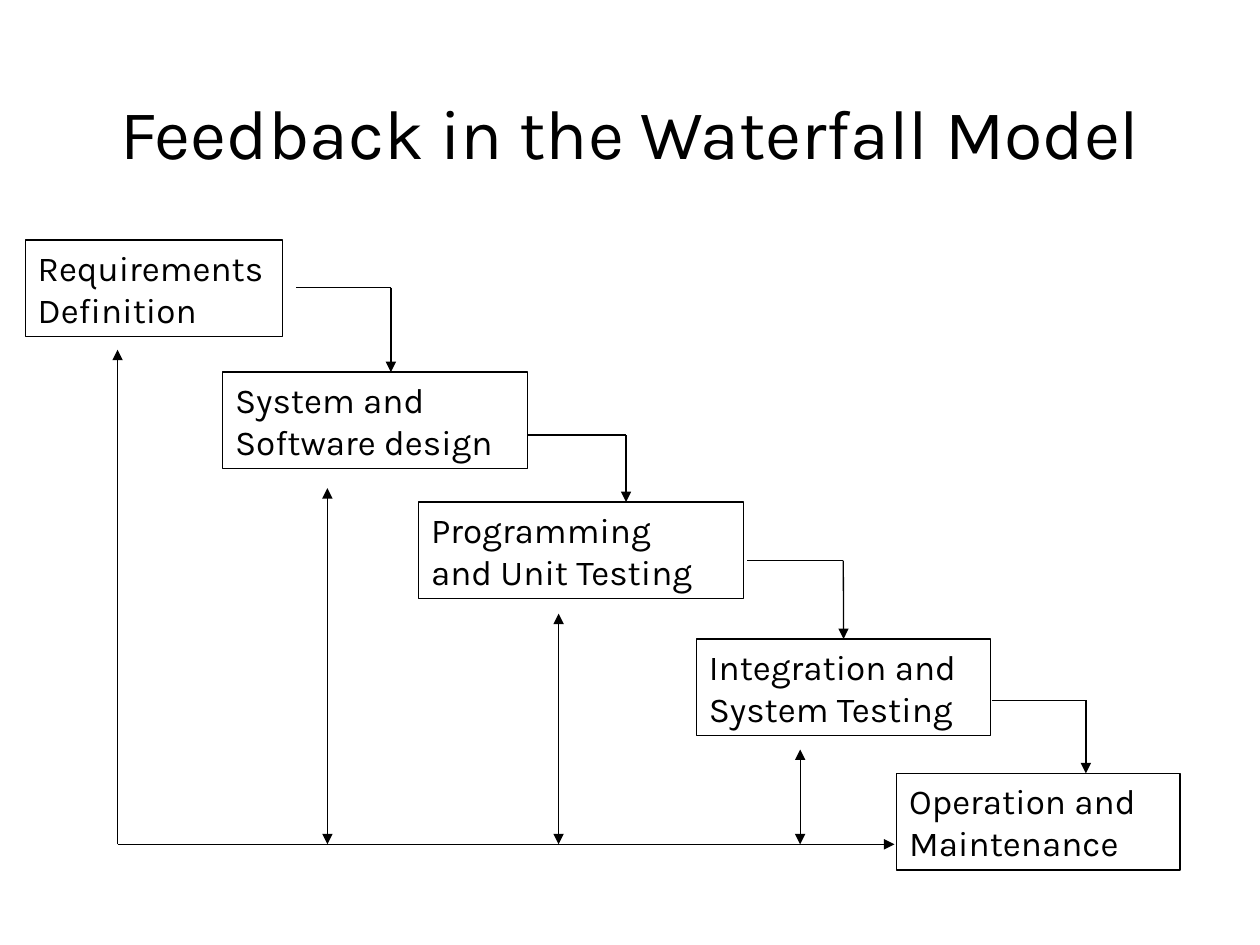
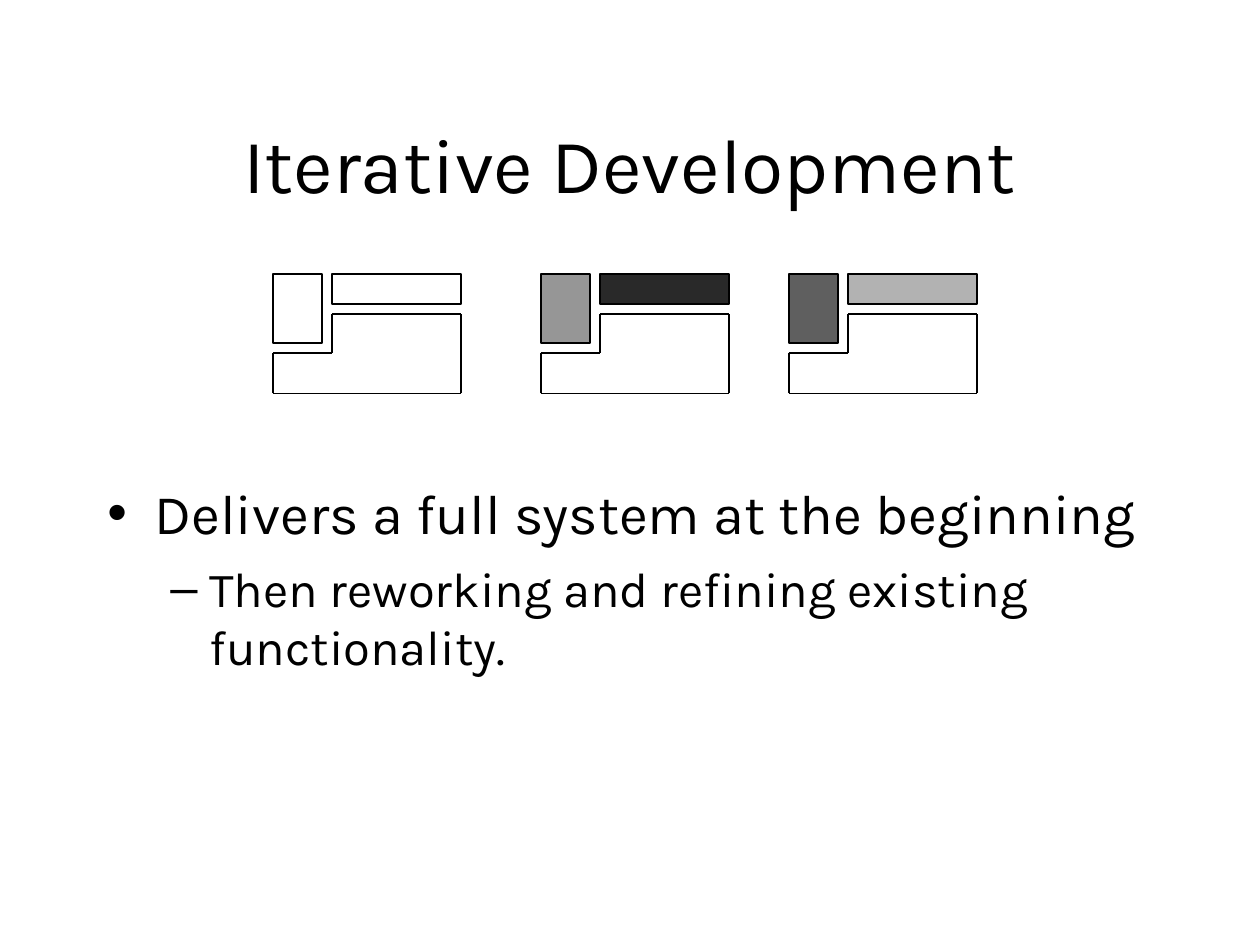
from dataclasses import dataclass
from itertools import pairwise

from lxml.etree import SubElement
from pptx import Presentation
from pptx.dml.color import RGBColor
from pptx.enum.shapes import MSO_CONNECTOR, MSO_SHAPE
from pptx.enum.text import MSO_ANCHOR, MSO_AUTO_SIZE, PP_ALIGN
from pptx.oxml.ns import qn
from pptx.util import Cm, Pt


@dataclass(frozen=True)
class Theme:
    font: str = "Karla"
    ink: str = "000000"
    mid_gray: str = "969696"
    near_black: str = "292929"
    dark_gray: str = "5F5F5F"
    light_gray: str = "B2B2B2"
    long_title_size: int = 40
    title_size: int = 44
    stage_size: int = 20
    bullet_size: int = 32
    dash_size: int = 28
    flow_line: float = 0.75
    tile_line: float = 1


@dataclass(frozen=True)
class Box:
    left: float
    top: float
    width: float
    height: float

    def lengths(self):
        return [Cm(value) for value in (self.left, self.top, self.width, self.height)]


@dataclass(frozen=True)
class Stage:
    lines: tuple
    left: float
    top: float
    width: float


@dataclass(frozen=True)
class Links:
    step_gap: float
    step_drop: float
    step_run: float
    feedback_left: float
    feedback_gap: float


THEME = Theme()
STAGE_HEIGHT = 1.95
BUS_TOP = 12.18
BUS_END = 17.52
STAGES = [
    Stage(("Requirements", "Definition"), 0, 0, 5.18),
    Stage(("System and", "Software design"), 3.98, 2.66, 6.14),
    Stage(("Programming", "and Unit Testing"), 7.93, 5.28, 6.55),
    Stage(("Integration and", "System Testing"), 13.53, 8.04, 5.93),
    Stage(("Operation and", "Maintenance"), 17.57, 10.75, 5.71),
]
LINKS = [
    Links(0.28, 0.96, 1.91, 1.86, 0.26),
    Links(0, 1.27, 1.99, 2.11, 0.39),
    Links(0.07, 1.18, 1.94, 2.82, 0.3),
    Links(0.02, 1.24, 1.9, 2.09, 0.28),
]
VERSIONS = [
    (0, None, None),
    (5.4, THEME.mid_gray, THEME.near_black),
    (10.4, THEME.dark_gray, THEME.light_gray),
]
POINTS = [
    ("Delivers a full system at the beginning", 0, THEME.bullet_size, "•", 0.95, -0.95, 0),
    ("Then reworking and refining existing functionality.", 1, THEME.dash_size, "–", 2.06, -0.79, 7),
]


def set_attributes(target, values):
    for name, value in values.items():
        setattr(target, name, value)


def style_font(font, size):
    set_attributes(font, {"name": THEME.font, "size": Pt(size), "bold": False})
    font.color.rgb = RGBColor.from_string(THEME.ink)


def style_line(line, width):
    line.width = Pt(width)
    line.color.rgb = RGBColor.from_string(THEME.ink)


def place(shape, box):
    set_attributes(shape, dict(zip(("left", "top", "width", "height"), box.lengths())))


def add_rectangle(slide, box, line_width, fill=None):
    rectangle = slide.shapes.add_shape(MSO_SHAPE.RECTANGLE, *box.lengths())
    rectangle.shadow.inherit = False
    style_line(rectangle.line, line_width)
    if fill:
        rectangle.fill.solid()
        rectangle.fill.fore_color.rgb = RGBColor.from_string(fill)
    else:
        rectangle.fill.background()
    return rectangle


def add_line(slide, region, start, end, width, arrows=()):
    ends = [Cm(value) for x, y in (start, end) for value in (region.left + x, region.top + y)]
    connector = slide.shapes.add_connector(MSO_CONNECTOR.STRAIGHT, *ends)
    style_line(connector.line, width)
    properties = connector.element.spPr
    outline = properties.find(qn("a:ln"))
    for arrow in arrows:
        SubElement(outline, qn(f"a:{arrow}"), type="triangle")
    SubElement(properties, qn("a:effectLst"))
    return connector


def fill_title(slide, text, box, size):
    title = slide.shapes.title
    place(title, box)
    frame = title.text_frame
    set_attributes(frame, {"text": text, "vertical_anchor": MSO_ANCHOR.MIDDLE,
                           "auto_size": MSO_AUTO_SIZE.NONE})
    paragraph = frame.paragraphs[0]
    paragraph.alignment = PP_ALIGN.CENTER
    style_font(paragraph.font, size)


def add_stage(slide, region, stage):
    box = Box(region.left + stage.left, region.top + stage.top, stage.width, STAGE_HEIGHT)
    rectangle = add_rectangle(slide, box, THEME.flow_line)
    frame = rectangle.text_frame
    set_attributes(frame, {"text": "\n".join(stage.lines), "word_wrap": True,
                           "vertical_anchor": MSO_ANCHOR.TOP})
    for paragraph in frame.paragraphs:
        paragraph.alignment = PP_ALIGN.LEFT
        style_font(paragraph.font, THEME.stage_size)
    return rectangle


def add_waterfall(slide, region):
    rectangles = [add_stage(slide, region, stage) for stage in STAGES]
    width = THEME.flow_line
    for index, ((stage, following), links) in enumerate(zip(pairwise(STAGES), LINKS)):
        start_x = stage.left + stage.width + links.step_gap
        start_y = stage.top + links.step_drop
        corner = (start_x + links.step_run, start_y)
        add_line(slide, region, (start_x, start_y), corner, width)
        arrow = add_line(slide, region, corner, (corner[0], following.top), width, ["tailEnd"])
        if abs(corner[0] - following.left - following.width / 2) < 0.05:
            arrow.end_connect(rectangles[index + 1], 0)

        feedback_x = stage.left + links.feedback_left
        feedback_top = stage.top + STAGE_HEIGHT + links.feedback_gap
        arrows = ["headEnd", "tailEnd"] if index else ["tailEnd"]
        add_line(slide, region, (feedback_x, BUS_TOP), (feedback_x, feedback_top), width, arrows)
    bus_start = (LINKS[0].feedback_left, BUS_TOP)
    add_line(slide, region, bus_start, (BUS_END, BUS_TOP), width, ["tailEnd"])


def add_version(slide, box, column_fill, bar_fill):
    column_width, column_height, bar_height, gap = 1, 1.38, 0.6, 0.2
    inner = column_width + gap
    column = Box(box.left, box.top, column_width, column_height)
    bar = Box(box.left + inner, box.top, box.width - inner, bar_height)
    add_rectangle(slide, column, THEME.tile_line, column_fill)
    add_rectangle(slide, bar, THEME.tile_line, bar_fill)
    upper, lower = bar_height + gap, column_height + gap
    corners = [(inner, upper), (box.width, upper), (box.width, box.height),
               (0, box.height), (0, lower), (inner, lower)]
    for start, end in pairwise(corners + corners[:1]):
        add_line(slide, box, start, end, THEME.tile_line)


def add_versions(slide, region):
    for offset, column_fill, bar_fill in VERSIONS:
        box = Box(region.left + offset, region.top, 3.8, region.height)
        add_version(slide, box, column_fill, bar_fill)


def fill_points(slide, box):
    body = slide.placeholders[1]
    place(body, box)
    frame = body.text_frame
    set_attributes(frame, {"text": "\n".join(point[0] for point in POINTS),
                           "auto_size": MSO_AUTO_SIZE.NONE})
    for paragraph, point in zip(frame.paragraphs, POINTS):
        _, level, size, bullet, margin, indent, space = point
        set_attributes(paragraph, {"level": level, "space_before": Pt(space)})
        properties = paragraph._p.get_or_add_pPr()
        properties.set("marL", str(Cm(margin)))
        properties.set("indent", str(Cm(indent)))
        SubElement(properties, qn("a:buChar"), char=bullet)
        style_font(paragraph.font, size)


def build_feedback_slide(presentation):
    slide = presentation.slides.add_slide(presentation.slide_layouts[5])
    title_box = Box(1.9, 1.06, 21.6, 3.18)
    fill_title(slide, "Feedback in the Waterfall Model", title_box, THEME.long_title_size)
    add_waterfall(slide, Box(0.51, 4.84, 23.28, 12.7))


def build_iterative_slide(presentation):
    slide = presentation.slides.add_slide(presentation.slide_layouts[1])
    title_box = Box(1.9, 1.69, 21.6, 3.18)
    fill_title(slide, "Iterative Development", title_box, THEME.title_size)
    fill_points(slide, Box(1.91, 9.52, 21.6, 7.42))
    add_versions(slide, Box(5.5, 5.53, 14.2, 2.4))


def main():
    presentation = Presentation()
    set_attributes(presentation, {"slide_width": Cm(25.4), "slide_height": Cm(19.05)})
    build_feedback_slide(presentation)
    build_iterative_slide(presentation)
    presentation.save("out.pptx")


if __name__ == "__main__":
    main()
